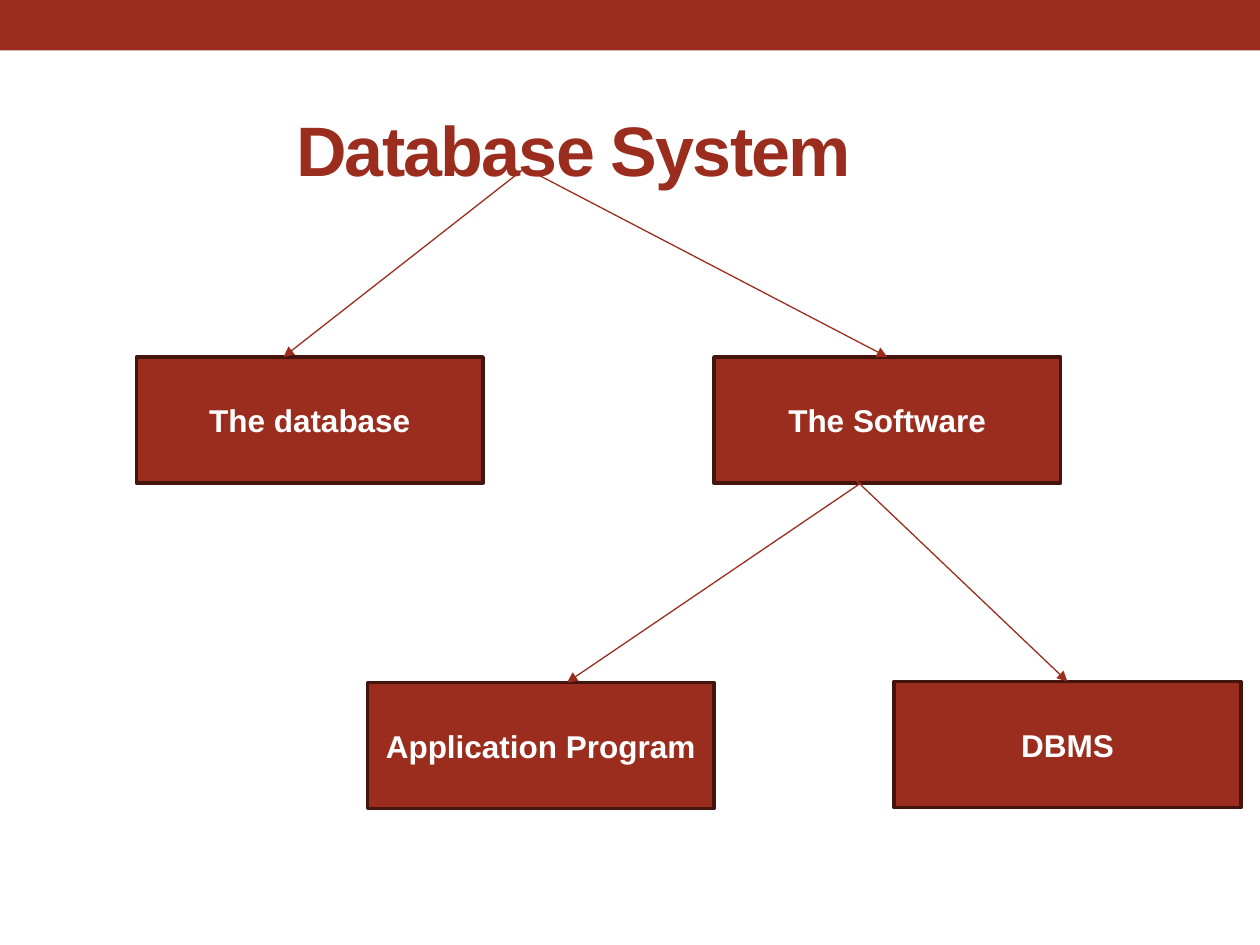
from lxml import etree
from pptx import Presentation
from pptx.dml.color import RGBColor
from pptx.enum.shapes import MSO_CONNECTOR, MSO_SHAPE
from pptx.enum.text import MSO_ANCHOR, MSO_AUTO_SIZE, PP_ALIGN
from pptx.oxml.ns import qn
from pptx.util import Pt

RECTANGLE = MSO_SHAPE.RECTANGLE
STRAIGHT = MSO_CONNECTOR.STRAIGHT
MIDDLE = MSO_ANCHOR.MIDDLE
LEFT, CENTER = PP_ALIGN.LEFT, PP_ALIGN.CENTER
NO_AUTOFIT = MSO_AUTO_SIZE.NONE

RUST = RGBColor(0x9B, 0x2D, 0x1F)
DARK_BROWN = RGBColor(0x44, 0x14, 0x0E)
WHITE = RGBColor(0xFF, 0xFF, 0xFF)

SLIDE_WIDTH, SLIDE_HEIGHT = 720, 540
BOX_WIDTH, BOX_HEIGHT = 198, 72
TITLE_LEFT = 162
TOP_SIDE = 0
TITLE_ONLY = 5


class Diagram:
    """Holds the style and the slide; all lengths are in points."""

    font_name = "Arial"

    def __init__(self, slide):
        self.slide = slide

    def set_text(self, frame, text, size, color, alignment):
        frame.word_wrap = True
        frame.vertical_anchor = MIDDLE
        paragraph = frame.paragraphs[0]
        paragraph.text = text
        paragraph.alignment = alignment
        font = paragraph.font
        font.name, font.size, font.bold = self.font_name, Pt(size), True
        font.color.rgb = color

    def title(self, text, left, top, width, height):
        title = self.slide.shapes.title
        title.left, title.top = Pt(left), Pt(top)
        title.width, title.height = Pt(width), Pt(height)
        self.set_text(title.text_frame, text, 40, RUST, LEFT)
        title.text_frame.auto_size = NO_AUTOFIT
        # Letter spacing in hundredths of a point
        for run in title.text_frame.paragraphs[0].runs:
            run.font._element.set("spc", "-100")

    def rectangle(self, left, top, width, height):
        shape = self.slide.shapes.add_shape(
            RECTANGLE, Pt(left), Pt(top), Pt(width), Pt(height))
        shape.shadow.inherit = False
        shape.fill.solid()
        shape.fill.fore_color.rgb = RUST
        return shape

    def band(self, height):
        self.rectangle(0, 0, SLIDE_WIDTH, height).line.fill.background()

    def box(self, text, left, top):
        box = self.rectangle(left, top, BOX_WIDTH, BOX_HEIGHT)
        box.line.color.rgb = DARK_BROWN
        box.line.width = Pt(2.08)
        self.set_text(box.text_frame, text, 18, WHITE, CENTER)
        return box

    def arrow(self, start, end, target=None):
        """Draw an arrow, joined to the top of target if one is given."""
        arrow = self.slide.shapes.add_connector(
            STRAIGHT, *(Pt(value) for value in (*start, *end)))
        if target is not None:
            arrow.end_connect(target, TOP_SIDE)
        arrow.line.color.rgb = RUST
        arrow.line.width = Pt(0.75)
        properties = arrow._element.spPr
        etree.SubElement(properties.find(qn("a:ln")), qn("a:tailEnd"), type="triangle")
        etree.SubElement(properties, qn("a:effectLst"))


def main():
    presentation = Presentation()
    presentation.slide_width = Pt(SLIDE_WIDTH)
    presentation.slide_height = Pt(SLIDE_HEIGHT)
    layout = presentation.slide_layouts[TITLE_ONLY]
    diagram = Diagram(presentation.slides.add_slide(layout))

    diagram.band(28.8)
    diagram.title("Database System", TITLE_LEFT, 54, SLIDE_WIDTH - TITLE_LEFT, 62)

    diagram.box("The database", 78, 204)
    software = diagram.box("The Software", 408, 204)
    diagram.box("Application Program", 210, 390)
    dbms = diagram.box("DBMS", 511, 389.5)

    system_root = (300, 96)
    diagram.arrow(system_root, (162, 204))
    diagram.arrow(system_root, (507, 204), software)
    diagram.arrow((486, 271.5), (610, 389.5), dbms)
    diagram.arrow((492, 276), (324, 390))

    presentation.save("out.pptx")


if __name__ == "__main__":
    main()
